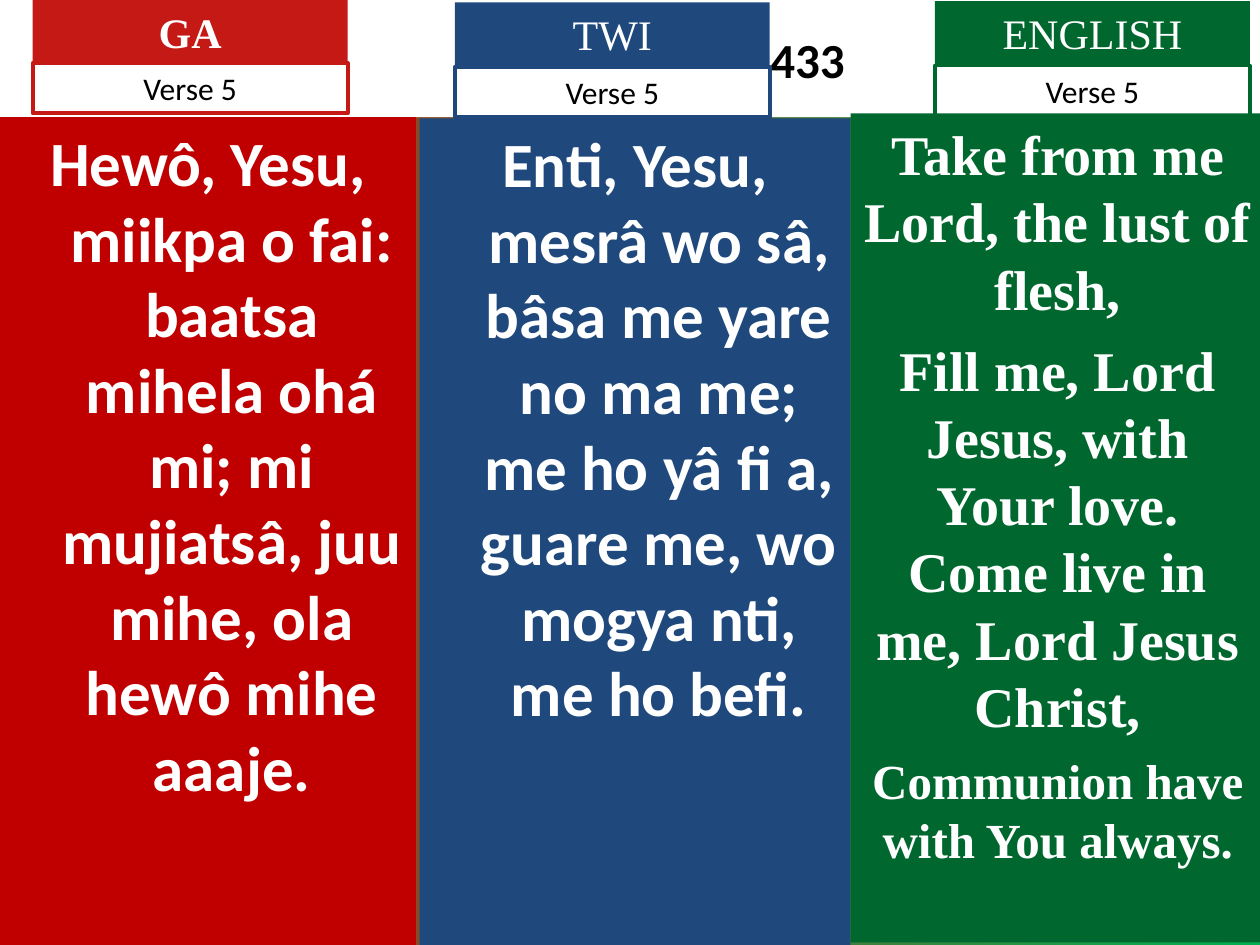
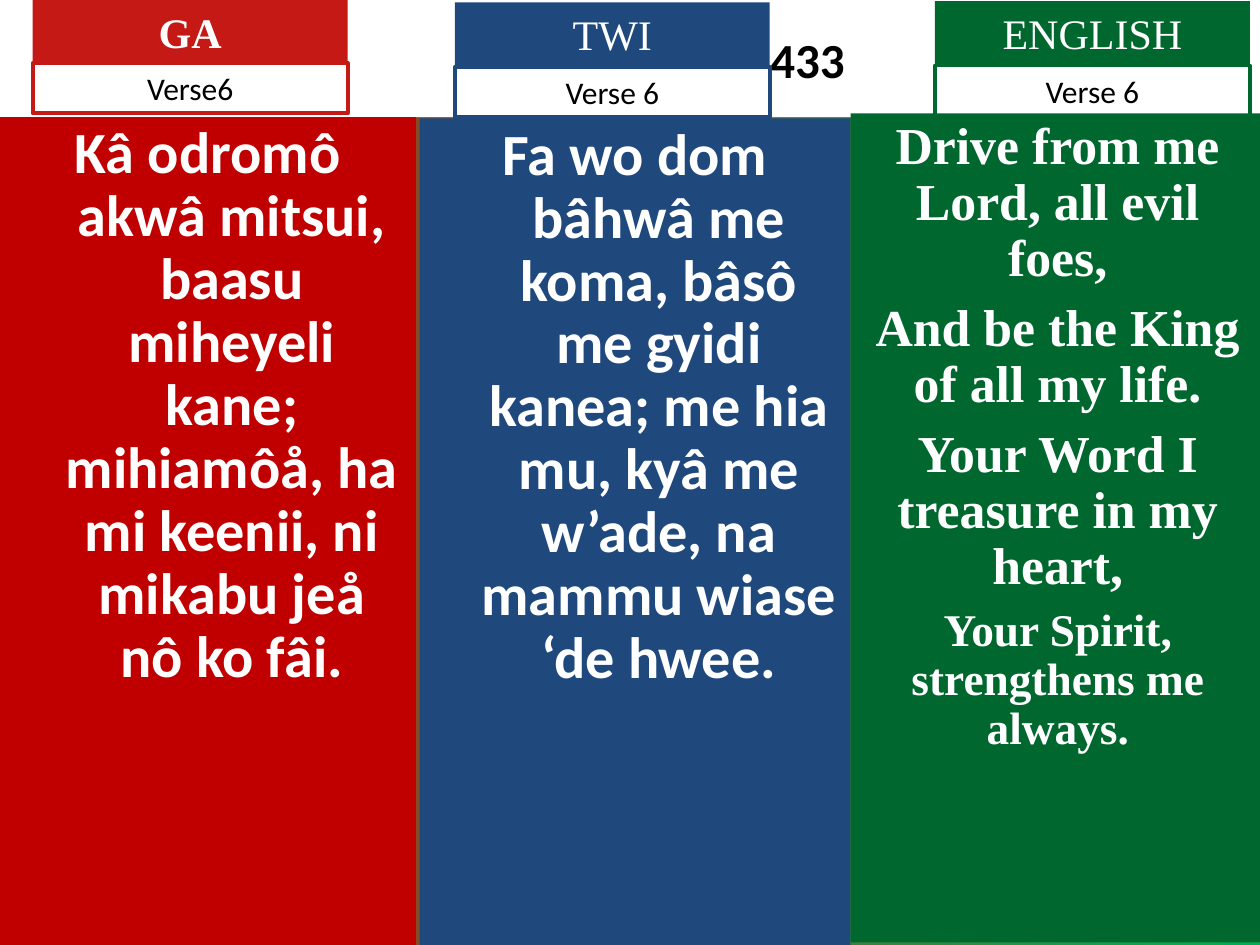
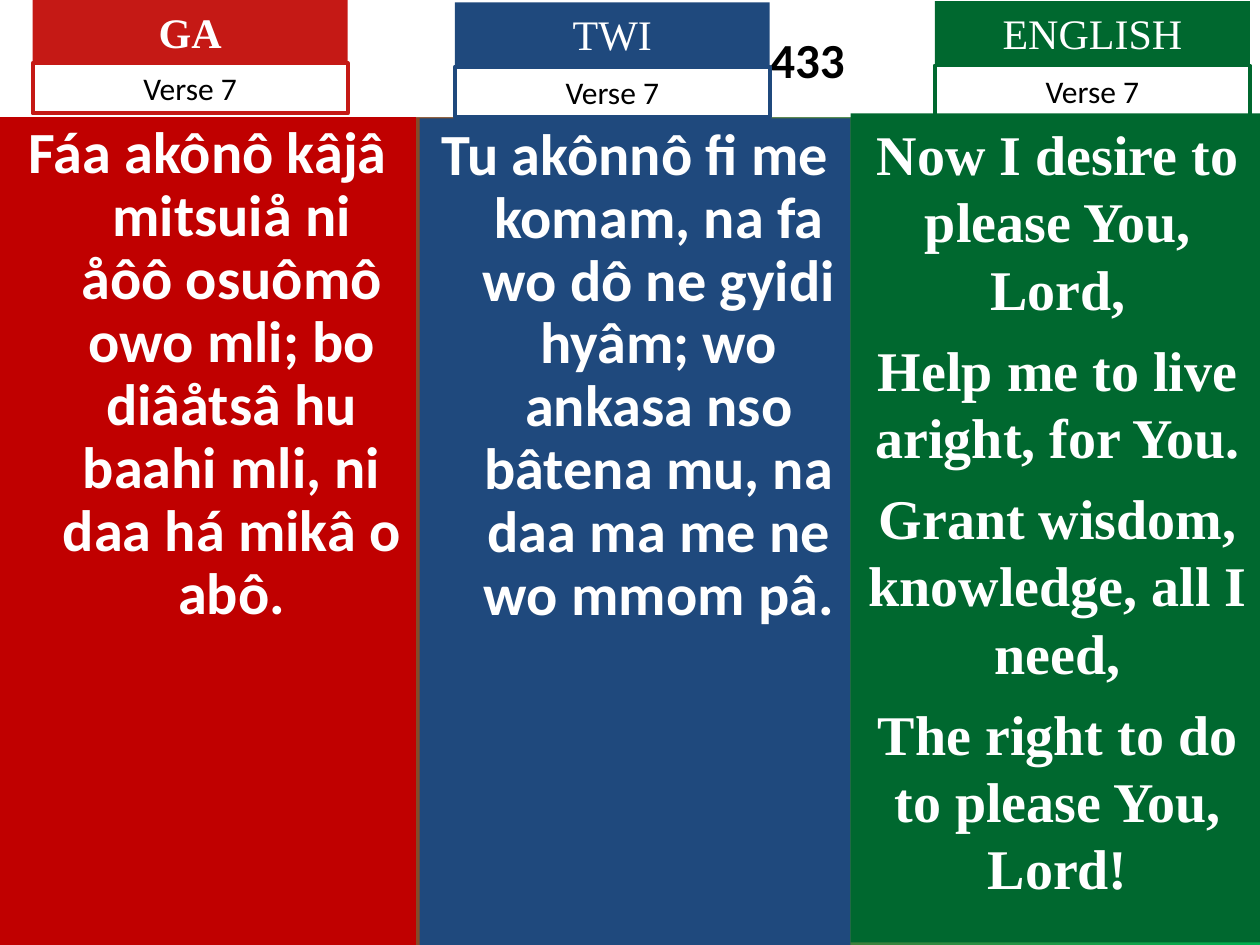
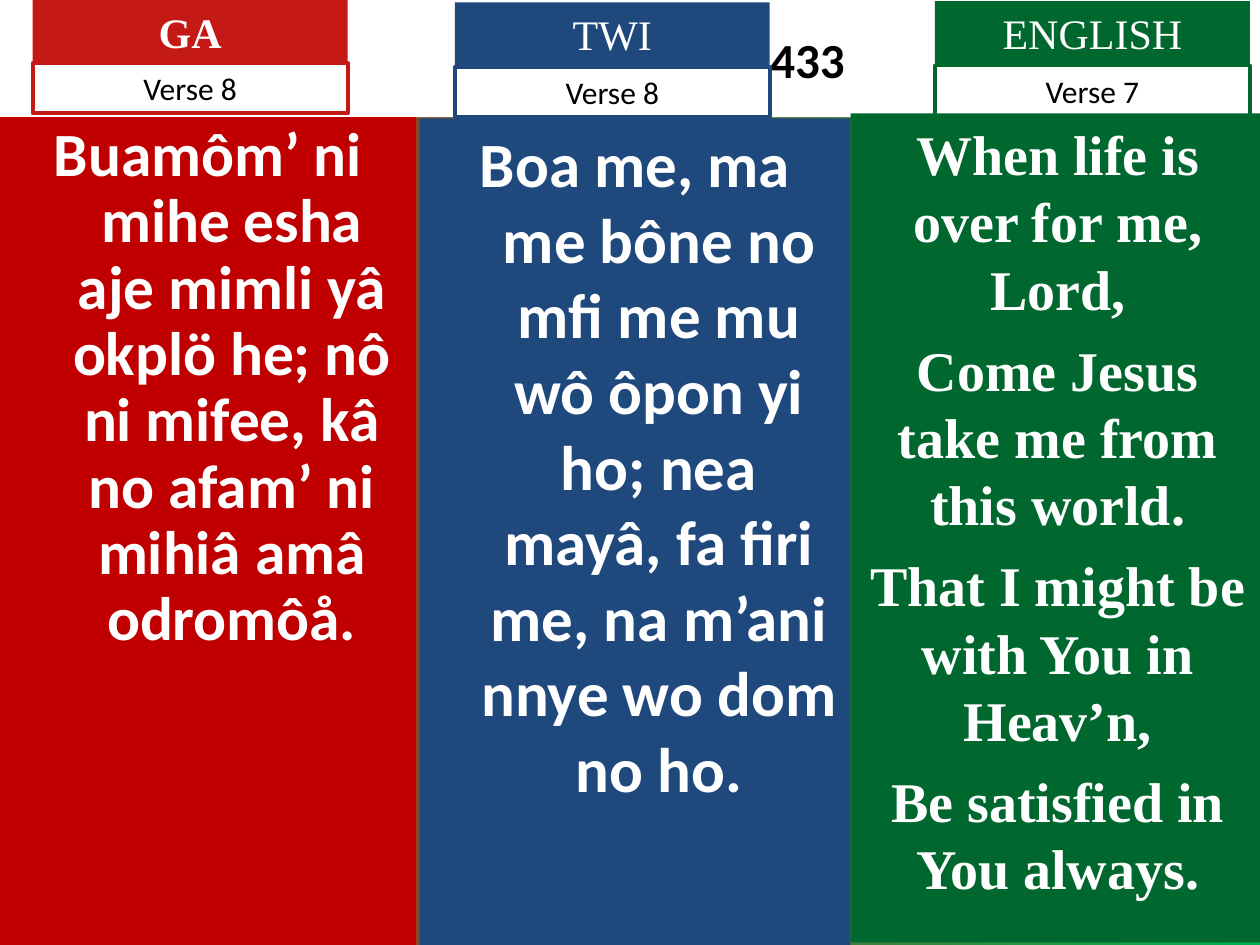
"""Build the hymn 433 deck, verses 5 to 8 in Ga, Twi and English."""

from dataclasses import dataclass

from lxml.etree import SubElement
from pptx import Presentation
from pptx.dml.color import RGBColor
from pptx.enum.shapes import MSO_SHAPE
from pptx.enum.text import MSO_ANCHOR, MSO_AUTO_SIZE, PP_ALIGN
from pptx.oxml.ns import qn
from pptx.presentation import Presentation as Deck
from pptx.shapes.base import BaseShape
from pptx.slide import Slide
from pptx.text.text import _Paragraph as Paragraph
from pptx.util import Inches, Length, Pt


@dataclass(frozen=True)
class Theme:
    sans: str = "Calibri"
    serif: str = "Times New Roman"
    white: str = "FFFFFF"
    black: str = "000000"
    red: str = "C51915"
    deep_red: str = "C00000"
    blue: str = "1F497D"
    green: str = "00682F"
    bright_green: str = "00B050"
    number_size: float = 28
    heading_size: float = 24
    verse_size: float = 18
    lyric_size: float = 36
    english_size: float = 32
    closing_size: float = 28
    border: float = 2.25
    tight_spacing: float = 0.9


@dataclass(frozen=True)
class Frame:
    left: float
    top: float
    width: float
    height: float

    def place(self, shape: BaseShape) -> None:
        """Move and size a shape to this frame."""
        shape.left, shape.top = Inches(self.left), Inches(self.top)
        shape.width, shape.height = Inches(self.width), Inches(self.height)


@dataclass(frozen=True)
class Language:
    name: str
    panel: Frame
    panel_color: str
    label_color: str
    label_left: float
    heading_top: float
    verse_top: float
    font: str
    size: float
    bold_heading: bool = False
    placeholder: int | None = None


@dataclass(frozen=True)
class Stanza:
    verse: str
    lines: tuple[str, ...]
    scale: float = 1
    small_closing: bool = False


THEME = Theme()
HYMN_NUMBER = "433"
TWO_CONTENT = 3
LABEL_WIDTH, HEADING_HEIGHT, VERSE_HEIGHT = 2.5, 0.5, 0.4
TITLE_FRAME = Frame(0, 0, 10, 0.93)
TITLE_INSET = Inches(2.92)
HANGING = Inches(0.38)

LANGUAGES = (
    Language("GA", Frame(0, 0.93, 3.3, 6.57), THEME.deep_red, THEME.red,
             0.26, 0, 0.5, THEME.sans, THEME.lyric_size, True, 1),
    Language("TWI", Frame(3.33, 0.94, 3.42, 6.56), THEME.blue, THEME.blue,
             3.61, 0.02, 0.53, THEME.sans, THEME.lyric_size, False, 2),
    Language("ENGLISH", Frame(6.75, 0.9, 3.29, 6.58), THEME.green, THEME.green,
             7.42, 0.01, 0.52, THEME.serif, THEME.english_size),
)

PAGES = (
    (
        Stanza("Verse 5", ("Hewô, Yesu, miikpa o fai: baatsa mihela ohá mi; mi mujiatsâ, "
                           "juu mihe, ola hewô mihe aaaje.",)),
        Stanza("Verse 5", ("Enti, Yesu, mesrâ wo sâ, bâsa me yare no ma me; me ho yâ fi a, "
                           "guare me, wo mogya nti, me ho befi.",)),
        Stanza("Verse 5", ("Take from me Lord, the lust of flesh,",
                           "Fill me, Lord Jesus, with Your love. Come live in me, "
                           "Lord Jesus Christ,",
                           "Communion have with You always."), small_closing=True),
    ),
    (
        Stanza("Verse6", ("Kâ odromô akwâ mitsui, baasu miheyeli kane; mihiamôå, "
                          "ha mi keenii, ni mikabu jeå nô ko fâi.",), 0.925),
        Stanza("Verse 6", ("Fa wo dom bâhwâ me koma, bâsô me gyidi kanea; me hia mu, "
                           "kyâ me w’ade, na mammu wiase ‘de hwee.",), 0.925),
        Stanza("Verse 6", ("Drive from me Lord, all evil foes,",
                           "And be the King of all my life.",
                           "Your Word I treasure in my heart,",
                           "Your Spirit, strengthens me always."), 0.925, True),
    ),
    (
        Stanza("Verse 7", ("Fáa akônô kâjâ mitsuiå ni åôô osuômô owo mli; bo diâåtsâ hu "
                           "baahi mli, ni daa há mikâ o abô.",), 0.925),
        Stanza("Verse 7", ("Tu akônnô fi me komam, na fa wo dô ne gyidi hyâm; wo ankasa nso "
                           "bâtena mu, na daa ma me ne wo mmom pâ.",), 0.925),
        Stanza("Verse 7", ("Now I desire to please You, Lord,",
                           "Help me to live aright, for You.",
                           "Grant wisdom, knowledge, all I need,",
                           "The right to do to please You, Lord!")),
    ),
    (
        Stanza("Verse 8", ("Buamôm’ ni mihe esha aje mimli yâ okplö he; nô ni mifee, "
                           "kâ no afam’ ni mihiâ amâ odromôå.",), 0.975),
        Stanza("Verse 8", ("Boa me, ma me bône no mfi me mu wô ôpon yi ho; nea mayâ, fa firi "
                           "me, na m’ani nnye wo dom no ho.",)),
        Stanza("Verse 7", ("When life is over for me, Lord,",
                           "Come Jesus take me from this world.",
                           "That I might be with You in Heav’n,",
                           "Be satisfied in You always.")),
    ),
)


def fill_solid(shape: BaseShape, color: str) -> None:
    """Give a shape one plain colour."""
    shape.fill.solid()
    shape.fill.fore_color.rgb = RGBColor.from_string(color)


def set_frame(shape: BaseShape, anchor: MSO_ANCHOR, auto_size: MSO_AUTO_SIZE,
              left_inset: Length = Inches(0.1)) -> None:
    """Set the wrapping, anchor and insets of a shape's text."""
    frame = shape.text_frame
    frame.word_wrap = True
    frame.auto_size = auto_size
    frame.vertical_anchor = anchor
    frame.margin_left, frame.margin_right = left_inset, Inches(0.1)
    frame.margin_top = frame.margin_bottom = Inches(0.05)


def style_paragraph(para: Paragraph, font: str, size: float, color: str, bold: bool) -> None:
    """Centre a paragraph and set its font."""
    para.alignment = PP_ALIGN.CENTER
    para.font.name = font
    para.font.size = Pt(size)
    para.font.bold = bold
    para.font.color.rgb = RGBColor.from_string(color)


def hang_without_bullet(para: Paragraph) -> None:
    """Give a paragraph a hanging indent and no bullet."""
    properties = para._p.get_or_add_pPr()
    properties.set("marL", str(HANGING))
    properties.set("indent", str(-HANGING))
    SubElement(properties, qn("a:buNone"))


def add_rectangle(slide: Slide, frame: Frame) -> BaseShape:
    """Add a rectangle with no shadow, fill or line."""
    box = slide.shapes.add_shape(MSO_SHAPE.RECTANGLE, 0, 0, 0, 0)
    frame.place(box)
    box.shadow.inherit = False
    box.fill.background()
    box.line.fill.background()
    return box


def add_label(slide: Slide, frame: Frame, text: str) -> BaseShape:
    """Add a rectangle that grows with its one line of text."""
    box = add_rectangle(slide, frame)
    set_frame(box, MSO_ANCHOR.TOP, MSO_AUTO_SIZE.SHAPE_TO_FIT_TEXT)
    box.text_frame.text = text
    return box


def draw_title(slide: Slide) -> None:
    """Put the hymn number in the white title band."""
    title = slide.shapes.title
    TITLE_FRAME.place(title)
    fill_solid(title, THEME.white)
    set_frame(title, MSO_ANCHOR.MIDDLE, MSO_AUTO_SIZE.NONE, TITLE_INSET)
    title.text_frame.text = HYMN_NUMBER
    style_paragraph(title.text_frame.paragraphs[0], THEME.sans, THEME.number_size,
                    THEME.black, True)


def draw_panel(slide: Slide, language: Language, stanza: Stanza) -> None:
    """Draw one language's coloured panel with its stanza."""
    if language.placeholder is None:
        panel = add_rectangle(slide, language.panel)
    else:
        panel = slide.placeholders[language.placeholder]
        language.panel.place(panel)
    fill_solid(panel, language.panel_color)
    set_frame(panel, MSO_ANCHOR.TOP, MSO_AUTO_SIZE.NONE)
    panel.text_frame.text = "\n".join(stanza.lines)
    last = len(stanza.lines) - 1
    for index, para in enumerate(panel.text_frame.paragraphs):
        closing = stanza.small_closing and index == last
        size = THEME.closing_size if closing else language.size
        if language.placeholder is not None:
            hang_without_bullet(para)
        para.space_before = Pt(size / 4 if index else 0)
        para.line_spacing = THEME.tight_spacing if stanza.scale < 1 else 1.0
        style_paragraph(para, language.font, round(size * stanza.scale, 1), THEME.white, True)


def draw_labels(slide: Slide, language: Language, verse: str) -> None:
    """Draw the language heading and the outlined verse box under it."""
    heading = add_label(slide, Frame(language.label_left, language.heading_top,
                                     LABEL_WIDTH, HEADING_HEIGHT), language.name)
    fill_solid(heading, language.label_color)
    style_paragraph(heading.text_frame.paragraphs[0], THEME.serif, THEME.heading_size,
                    THEME.white, language.bold_heading)
    verse_box = add_label(slide, Frame(language.label_left, language.verse_top,
                                       LABEL_WIDTH, VERSE_HEIGHT), verse)
    verse_box.line.color.rgb = RGBColor.from_string(language.label_color)
    verse_box.line.width = Pt(THEME.border)
    style_paragraph(verse_box.text_frame.paragraphs[0], THEME.sans, THEME.verse_size,
                    THEME.black, False)


def set_background(deck: Deck) -> None:
    """Give the slide master a red to green gradient."""
    fill = deck.slide_master.background.fill
    fill.gradient()
    fill.gradient_angle = 0
    for position, (stop, color) in enumerate(
            zip(fill.gradient_stops, (THEME.red, THEME.bright_green))):
        stop.position = position
        stop.color.rgb = RGBColor.from_string(color)


def main() -> None:
    """Build and save the deck."""
    deck = Presentation()
    deck.slide_width, deck.slide_height = Inches(10), Inches(7.5)
    set_background(deck)
    for stanzas in PAGES:
        slide = deck.slides.add_slide(deck.slide_layouts[TWO_CONTENT])
        draw_title(slide)
        for language, stanza in zip(LANGUAGES, stanzas):
            draw_panel(slide, language, stanza)
            draw_labels(slide, language, stanza.verse)
    deck.save("out.pptx")


if __name__ == "__main__":
    main()
